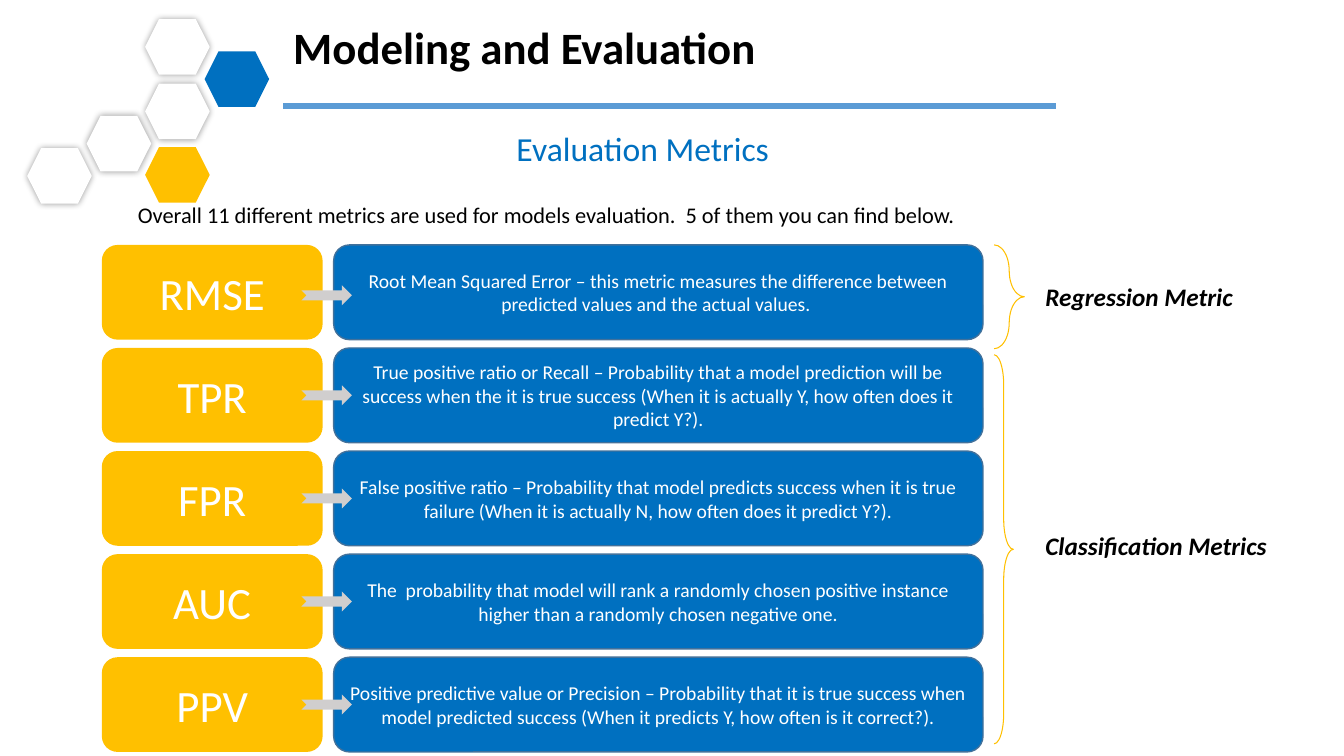
from lxml.etree import SubElement
from pptx import Presentation
from pptx.dml.color import RGBColor
from pptx.enum.shapes import MSO_CONNECTOR, MSO_SHAPE
from pptx.enum.text import MSO_ANCHOR, PP_ALIGN
from pptx.oxml.ns import qn
from pptx.util import Inches, Pt

COLORS = {
    "white": "FFFFFF", "black": "000000", "blue": "0070C0", "gold": "FFC000",
    "rule": "5B9BD5", "edge": "42719B", "arrow": "D0CECE",
}
FONT = "Calibri"

METRICS = [
    ("RMSE", "Root Mean Squared Error – this metric measures the difference between "
             "predicted values and the actual values. ", 0.4),
    ("TPR", "True positive ratio or Recall – Probability that a model prediction will be success "
            "when the it is true success (When it is actually Y, how often does it predict Y?).", 0.37),
    ("FPR", "False positive ratio – Probability that model predicts success when it is true "
            "failure (When it is actually N, how often does it predict Y?).", 0.37),
    ("AUC", "The  probability that model will rank a randomly chosen positive instance "
            "higher than a randomly chosen negative one.", 0.37),
    ("PPV", "Positive predictive value or Precision – Probability that it is true success when "
            "model predicted success (When it predicts Y, how often is it correct?).", 0.37),
]
HEXAGONS = [
    (1.17, 0.64, "white"), (1.17, 1.27, "gold"), (1.76, 0.32, "blue"),
    (1.17, 0, "white"), (0.59, 0.96, "white"), (0, 1.28, "white"),
]


def rgb(name):
    return RGBColor.from_string(COLORS[name])


def write(sp, text, size, color, align=PP_ALIGN.LEFT, bold=False, italic=False):
    p = sp.text_frame.paragraphs[0]
    p.alignment = align
    r = p.add_run()
    r.text = text
    r.font.name = FONT
    r.font.size = Pt(size)
    r.font.bold = bold
    r.font.italic = italic
    r.font.color.rgb = rgb(color)


def add_text(s, box, text, size, color, wrap=True, **style):
    sp = s.shapes.add_textbox(*map(Inches, box))
    sp.text_frame.word_wrap = wrap
    write(sp, text, size, color, **style)


def add_shape(s, kind, box, fill=None, line=None, width=1):
    sp = s.shapes.add_shape(kind, *map(Inches, box))
    sp.shadow.inherit = False
    if fill:
        sp.fill.solid()
        sp.fill.fore_color.rgb = rgb(fill)
    else:
        sp.fill.background()
    if line:
        sp.line.color.rgb = rgb(line)
        sp.line.width = Pt(width)
    else:
        sp.line.fill.background()
    return sp


def add_glow(sp):
    effects = sp._element.spPr.find(qn("a:effectLst"))
    shadow = SubElement(effects, qn("a:outerShdw"), blurRad=str(Pt(5)), dist="0", dir="0",
                        algn="ctr", rotWithShape="0")
    color = SubElement(shadow, qn("a:srgbClr"), val=COLORS["black"])
    SubElement(color, qn("a:alpha"), val="40000")


def add_hexagons(s, left, top):
    for dx, dy, fill in HEXAGONS:
        sp = add_shape(s, MSO_SHAPE.HEXAGON, (left + dx, top + dy, 0.64, 0.55), fill)
        if fill == "white":
            add_glow(sp)


def add_header(s, left, top, width):
    add_text(s, (left, top, width, 0.64), "Modeling and Evaluation", 32, "black", bold=True)
    y = Inches(top + 0.9)
    rule = s.shapes.add_connector(MSO_CONNECTOR.STRAIGHT, Inches(left), y, Inches(left + 7.66), y)
    rule.line.color.rgb = rgb("rule")
    rule.line.width = Pt(4.5)
    SubElement(rule._element.spPr, qn("a:effectLst"))


def add_intro(s, left, top):
    add_text(s, (left + 1.82, top, 6.75, 0.5), "Evaluation Metrics", 24, "blue",
             align=PP_ALIGN.CENTER)
    add_text(s, (left, top + 0.73, 8.48, 0.37),
             "Overall 11 different metrics are used for models evaluation.  "
             "5 of them you can find below.", 16, "black", align=PP_ALIGN.CENTER)


def add_card(s, box, text, size, fill, line=None):
    sp = add_shape(s, MSO_SHAPE.ROUNDED_RECTANGLE, box, fill, line)
    sp.text_frame.word_wrap = True
    sp.text_frame.vertical_anchor = MSO_ANCHOR.MIDDLE
    write(sp, text, size, "white", PP_ALIGN.CENTER)


def add_metrics(s, left, top, width, height):
    row_h, name_w, text_dx = 0.94, 2.19, 2.3
    pitch = (height - row_h) / (len(METRICS) - 1)
    for i, (name, text, arrow_dy) in enumerate(METRICS):
        y = top + i * pitch
        add_card(s, (left + text_dx, y, width - text_dx, row_h), text, 14, "blue", "edge")
        add_card(s, (left, y, name_w, row_h), name, 32, "gold")
        add_shape(s, MSO_SHAPE.NOTCHED_RIGHT_ARROW, (left + 1.98, y + arrow_dy, 0.5, 0.2), "arrow")


def add_bracket(s, left, top, width, height, label, label_dy, label_w):
    sp = add_shape(s, MSO_SHAPE.RIGHT_BRACE, (left, top, width, height), line="gold", width=0.75)
    sp.adjustments[0] = 1.58
    add_text(s, (left + 0.41, top + label_dy, label_w, 0.4), label, 18, "black",
             wrap=False, bold=True, italic=True)


def main():
    prs = Presentation()
    prs.slide_width, prs.slide_height = Inches(13.33), Inches(7.5)
    s = prs.slides.add_slide(prs.slide_layouts[6])
    add_hexagons(s, 0.27, 0.19)
    add_header(s, 2.81, 0.15, 7.05)
    add_metrics(s, 1.01, 2.43, 8.74, 5.03)
    add_intro(s, 1.18, 1.22)
    add_bracket(s, 9.86, 2.43, 0.3, 1.03, "Regression Metric", 0.31, 2.08)
    add_bracket(s, 9.86, 3.52, 0.19, 3.86, "Classification Metrics", 1.69, 2.42)
    prs.save("out.pptx")


if __name__ == "__main__":
    main()
